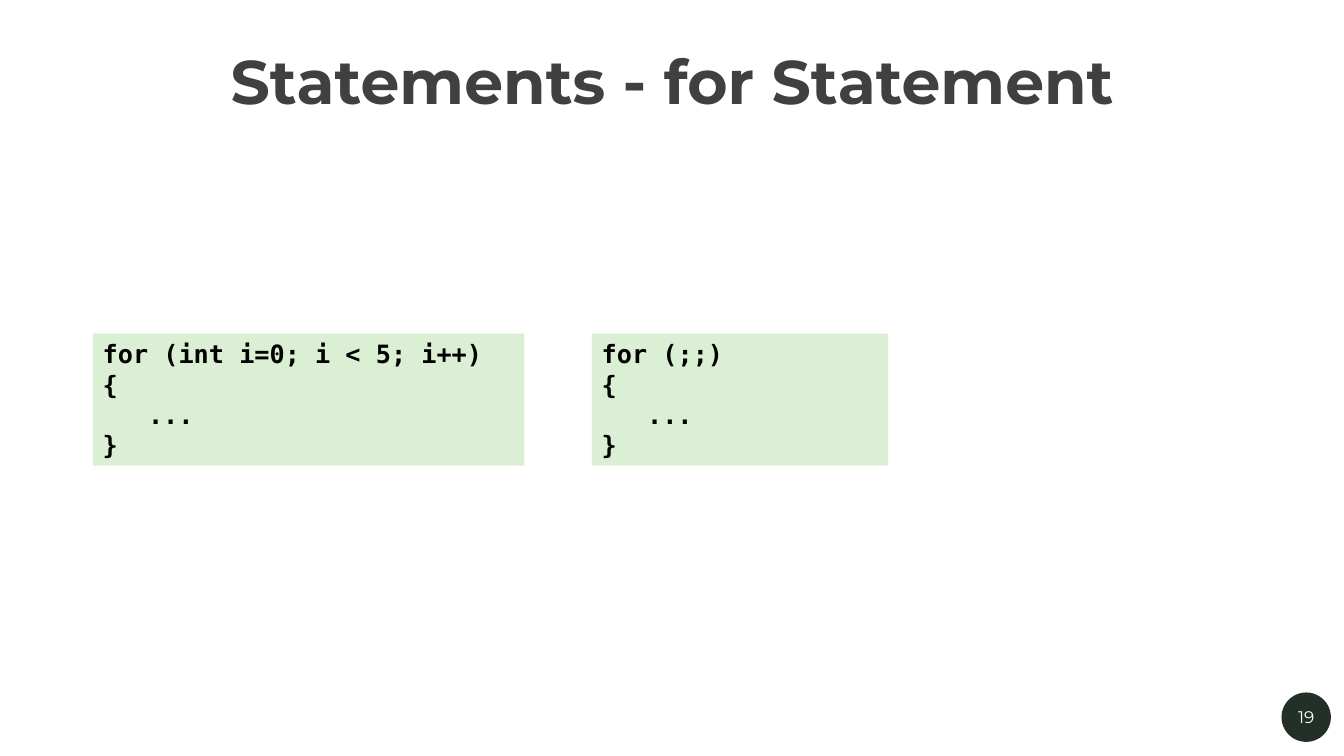
from pptx import Presentation
from pptx.dml.color import RGBColor
from pptx.enum.shapes import MSO_SHAPE as Shape
from pptx.enum.text import MSO_ANCHOR as Anchor, MSO_AUTO_SIZE as Auto, PP_ALIGN as Align
from pptx.util import Inches, Pt


def write(para, text, size, font, color, bold=False):
    run = para.add_run()
    run.text = text
    run.font.size = Pt(size)
    run.font.name = font
    run.font.bold = bold
    run.font.color.rgb = RGBColor.from_string(color)


def draw(kind, left, top, width, height, color):
    shape = slide.shapes.add_shape(
        kind, Inches(left), Inches(top), Inches(width), Inches(height))
    shape.shadow.inherit = False
    shape.fill.solid()
    shape.fill.fore_color.rgb = RGBColor.from_string(color)
    shape.line.fill.background()
    return shape


deck = Presentation()
deck.slide_width, deck.slide_height = Inches(13.33), Inches(7.5)
slide = deck.slides.add_slide(deck.slide_layouts[5])

# Title
title = slide.shapes.title
title.left, title.top = Inches(0.92), Inches(0.38)
title.width, title.height = Inches(11.5), Inches(0.91)
title.text_frame.vertical_anchor = Anchor.MIDDLE
title.text_frame.auto_size = Auto.NONE
para = title.text_frame.paragraphs[0]
para.alignment = Align.CENTER
para.line_spacing = 0.9
write(para, "Statements - for Statement", 44, "Montserrat", "404040", True)

# Page number
badge = draw(Shape.OVAL, 12.71, 6.87, 0.49, 0.49, "223028")
frame = badge.text_frame
frame.word_wrap = False
frame.margin_left = frame.margin_right = 0
frame.vertical_anchor = Anchor.MIDDLE
para = frame.paragraphs[0]
para.alignment = Align.CENTER
write(para, "19", 12, "Montserrat", "FFFFFF")

# Code boxes: a loop head and the same body
for left, width, head in [(0.92, 4.28, "for (int i=0; i < 5; i++)"),
                          (5.87, 2.94, "for (;;)")]:
    box = draw(Shape.RECTANGLE, left, 3.31, width, 1.31, "DBEFD4")
    frame = box.text_frame
    frame.word_wrap = True
    frame.auto_size = Auto.SHAPE_TO_FIT_TEXT
    frame.vertical_anchor = Anchor.TOP
    for row, line in enumerate([head, "{", "...", "}"]):
        para = frame.add_paragraph() if row else frame.paragraphs[0]
        para.alignment = Align.LEFT
        if line == "...":
            # Indent of three characters
            para._p.get_or_add_pPr().set("marL", str(Inches(0.45)))
        write(para, line, 18, "DejaVu Sans Mono", "000000", True)

deck.save("out.pptx")
